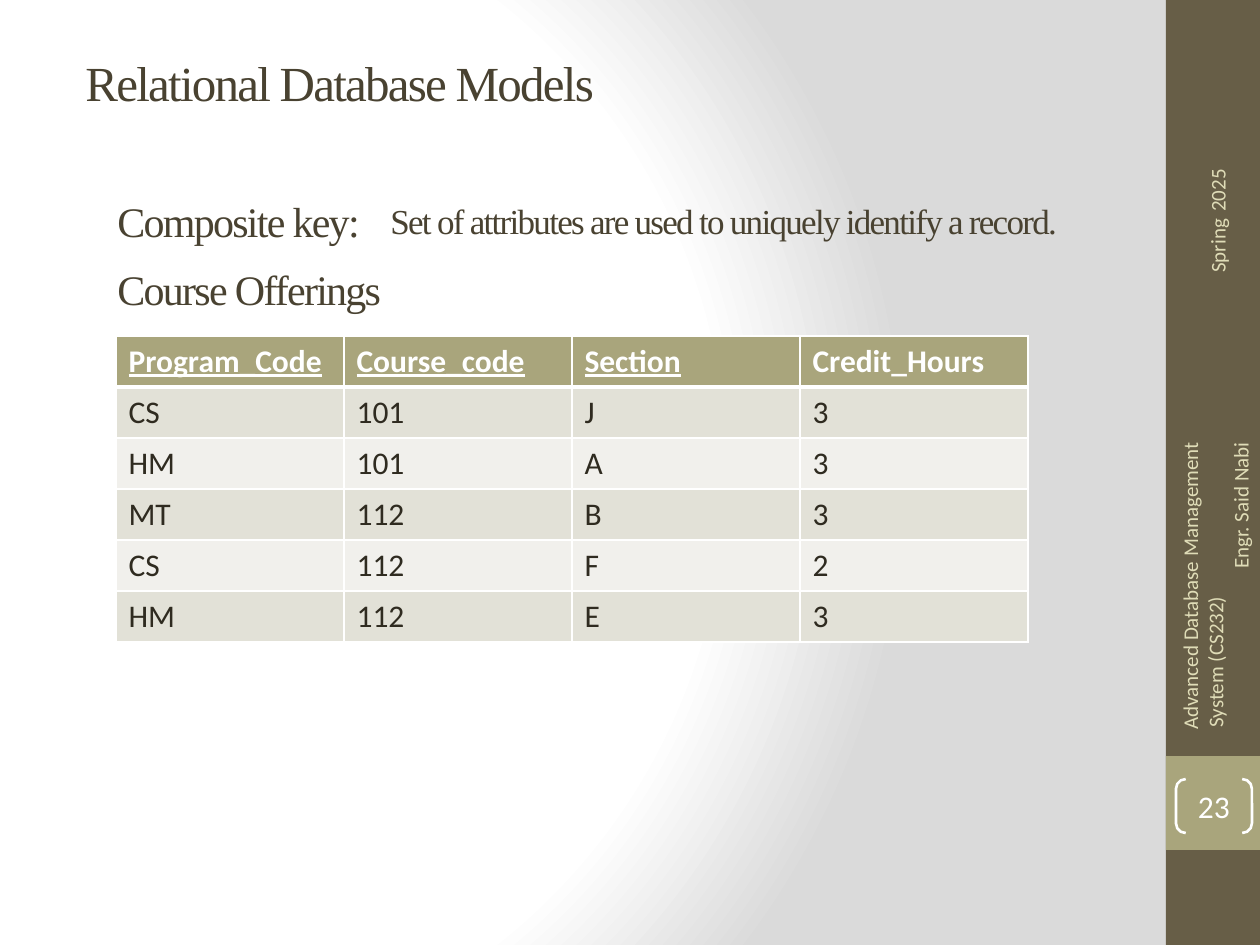
import pptx
import pptx.dml.color
import pptx.enum.shapes
import pptx.enum.text
import pptx.oxml
import pptx.oxml.ns
import pptx.util
import lxml.etree

RGBColor = pptx.dml.color.RGBColor
ALIGN = pptx.enum.text.PP_ALIGN
ANCHOR = pptx.enum.text.MSO_ANCHOR
SHAPE = pptx.enum.shapes.MSO_SHAPE
qn = pptx.oxml.ns.qn

WHITE = RGBColor(0xFF, 0xFF, 0xFF)
GRAY = RGBColor(0xDA, 0xDA, 0xDA)
SIDEBAR = RGBColor(0x67, 0x5E, 0x47)
OLIVE = RGBColor(0xA9, 0xA5, 0x7C)
CREAM = RGBColor(0xDF, 0xDC, 0xB7)
HEADING = RGBColor(0x49, 0x42, 0x31)
INK = RGBColor(0x2F, 0x2B, 0x20)
BANDS = (RGBColor(0xE2, 0xE1, 0xD7), RGBColor(0xF1, 0xF0, 0xEC))

EMU_PER_PX = 914400 / 126
SLIDE_WIDTH, SLIDE_HEIGHT = 1260, 945
SIDEBAR_LEFT, SIDEBAR_WIDTH = 1166, 94
COLUMN_WIDTH, ROW_HEIGHT = 228, 51

HEADERS = ("Program_Code", "Course_code", "Section", "Credit_Hours")
KEY_COLUMNS = 3
OFFERINGS = (
    ("CS", "101", "J", "3"),
    ("HM", "101", "A", "3"),
    ("MT", "112", "B", "3"),
    ("CS", "112", "F", "2"),
    ("HM", "112", "E", "3"),
)


def px(length):
    return pptx.util.Emu(round(length * EMU_PER_PX))


class SlideBuilder:
    body_font = "Calibri"
    heading_font = "Times New Roman"

    def __init__(self, presentation):
        self.slide = presentation.slides.add_slide(presentation.slide_layouts[6])

    def background(self, stops, focus):
        colors = "".join(
            f'<a:gs pos="{position * 1000}"><a:srgbClr val="{color}"/></a:gs>'
            for position, color in stops
        )
        left, top, right, bottom = (value * 1000 for value in focus)
        self.slide.element.cSld.insert(0, pptx.oxml.parse_xml(
            f'<p:bg {pptx.oxml.ns.nsdecls("p", "a")}><p:bgPr>'
            f'<a:gradFill rotWithShape="1"><a:gsLst>{colors}</a:gsLst>'
            f'<a:path path="circle"><a:fillToRect l="{left}" t="{top}" r="{right}" b="{bottom}"/>'
            '</a:path></a:gradFill><a:effectLst/></p:bgPr></p:bg>'
        ))

    def run(self, paragraph, text, size, color, font=body_font, spacing=0):
        run = paragraph.add_run()
        run.text = text
        run.font.size = pptx.util.Pt(size)
        run.font.name = font
        run.font.color.rgb = color
        if spacing:
            run.font._element.set("spc", str(spacing * 100))
        return run

    def block(self, left, top, width, height, color):
        shape = self.slide.shapes.add_shape(
            SHAPE.RECTANGLE, px(left), px(top), px(width), px(height))
        shape.shadow.inherit = False
        shape.fill.solid()
        shape.fill.fore_color.rgb = color
        shape.line.fill.background()

    def text_box(self, left, top, width, height, rotation=0, wrap=True, anchor=ANCHOR.MIDDLE):
        shape = self.slide.shapes.add_textbox(px(left), px(top), px(width), px(height))
        shape.rotation = rotation
        shape.text_frame.word_wrap = wrap
        shape.text_frame.vertical_anchor = anchor
        return shape.text_frame

    def heading(self, text, left, top, width, height, size):
        frame = self.text_box(left, top, width, height)
        self.run(frame.paragraphs[0], text, size, HEADING, self.heading_font, -1)

    def course_footer(self, left, top, width, height):
        frame = self.text_box(left, top, width, height, rotation=270)
        lines = (
            ("Advanced Database Management", ALIGN.RIGHT, 0),
            ("System (CS232)", ALIGN.LEFT, 16),
            ("Engr. Said Nabi", ALIGN.RIGHT, 0),
        )
        for index, (text, alignment, indent) in enumerate(lines):
            paragraph = frame.add_paragraph() if index else frame.paragraphs[0]
            paragraph.alignment = alignment
            if indent:
                paragraph._p.get_or_add_pPr().set("marL", str(px(indent)))
            self.run(paragraph, text, 12, CREAM)

    def term_label(self, left, top, width, height):
        frame = self.text_box(left, top, width, height, 270, False, ANCHOR.TOP)
        for text, size in (("Spring", 12), (" ", 18), ("2025", 12)):
            self.run(frame.paragraphs[0], text, size, CREAM)

    def page_number(self, text, left, top, width, height):
        shape = self.slide.shapes.add_shape(
            SHAPE.DOUBLE_BRACKET, px(left), px(top), px(width), px(height))
        shape.shadow.inherit = False
        shape.adjustments[0] = 0.18
        shape.fill.background()
        shape.line.color.rgb = WHITE
        shape.line.width = pptx.util.Pt(1.5)
        frame = shape.text_frame
        frame.margin_left = frame.margin_right = frame.margin_top = frame.margin_bottom = 0
        frame.vertical_anchor = ANCHOR.MIDDLE
        frame.paragraphs[0].alignment = ALIGN.CENTER
        self.run(frame.paragraphs[0], text, 18, WHITE)

    def borders(self, cell, top, bottom):
        properties = cell._tc.get_or_add_tcPr()
        for side, points in (("L", 1), ("R", 1), ("T", top), ("B", bottom)):
            line = lxml.etree.SubElement(
                properties, qn(f"a:ln{side}"), w=str(pptx.util.Pt(points)))
            fill = lxml.etree.SubElement(line, qn("a:solidFill"))
            lxml.etree.SubElement(fill, qn("a:srgbClr"), val=str(WHITE))

    def table(self, headers, records, left, top):
        rows = (headers, *records)
        table = self.slide.shapes.add_table(
            len(rows), len(headers), px(left), px(top),
            px(COLUMN_WIDTH * len(headers)), px(ROW_HEIGHT * len(rows))).table
        for column in table.columns:
            column.width = px(COLUMN_WIDTH)
        for row_index, values in enumerate(rows):
            table.rows[row_index].height = px(ROW_HEIGHT)
            is_header = row_index == 0
            for column_index, value in enumerate(values):
                cell = table.cell(row_index, column_index)
                self.borders(cell, 3 if row_index == 1 else 1, 3 if is_header else 1)
                cell.fill.solid()
                cell.fill.fore_color.rgb = OLIVE if is_header else BANDS[(row_index - 1) % 2]
                cell.vertical_anchor = ANCHOR.MIDDLE
                run = self.run(cell.text_frame.paragraphs[0], value, 18,
                               WHITE if is_header else INK)
                run.font.bold = is_header
                run.font.underline = is_header and column_index < KEY_COLUMNS


def main():
    presentation = pptx.Presentation()
    presentation.slide_width = px(SLIDE_WIDTH)
    presentation.slide_height = px(SLIDE_HEIGHT)
    builder = SlideBuilder(presentation)
    builder.background(((0, WHITE), (75, WHITE), (100, GRAY)), (20, 50, 100, 50))
    builder.block(SIDEBAR_LEFT, 0, SIDEBAR_WIDTH, SLIDE_HEIGHT, SIDEBAR)
    builder.block(SIDEBAR_LEFT, 756, SIDEBAR_WIDTH, SIDEBAR_WIDTH, OLIVE)
    builder.course_footer(1052, 568, 326, 50)
    builder.term_label(1148, 195, 130, 50)
    builder.page_number("23", 1176, 779, 76, 54)
    builder.table(HEADERS, OFFERINGS, 116, 336)
    builder.heading("Relational Database Models", 73, 3, 1050, 158, 28)
    builder.heading("Composite key:", 105, 168, 420, 105, 24)
    builder.heading("Set of attributes are used to uniquely identify a record.",
                    378, 168, 735, 105, 20)
    builder.heading("Course Offerings", 105, 210, 1050, 158, 24)
    presentation.save("out.pptx")


if __name__ == "__main__":
    main()
